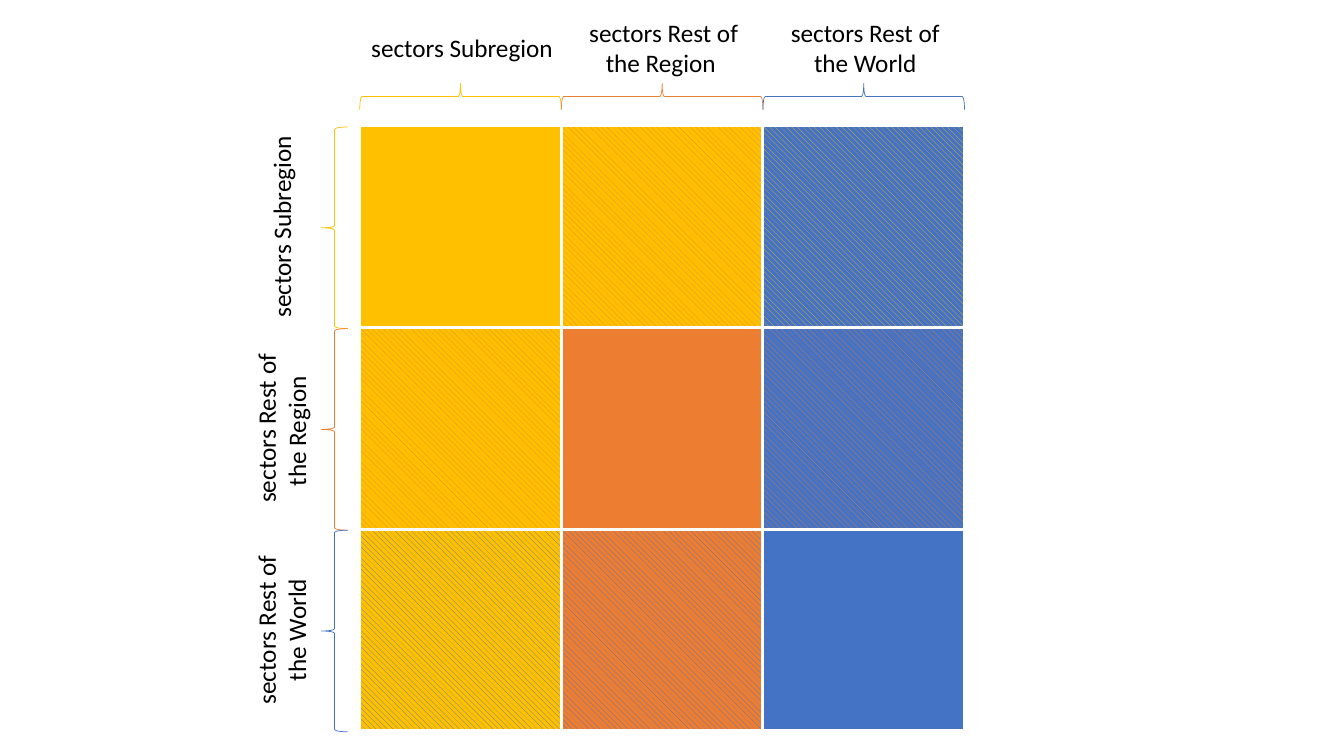
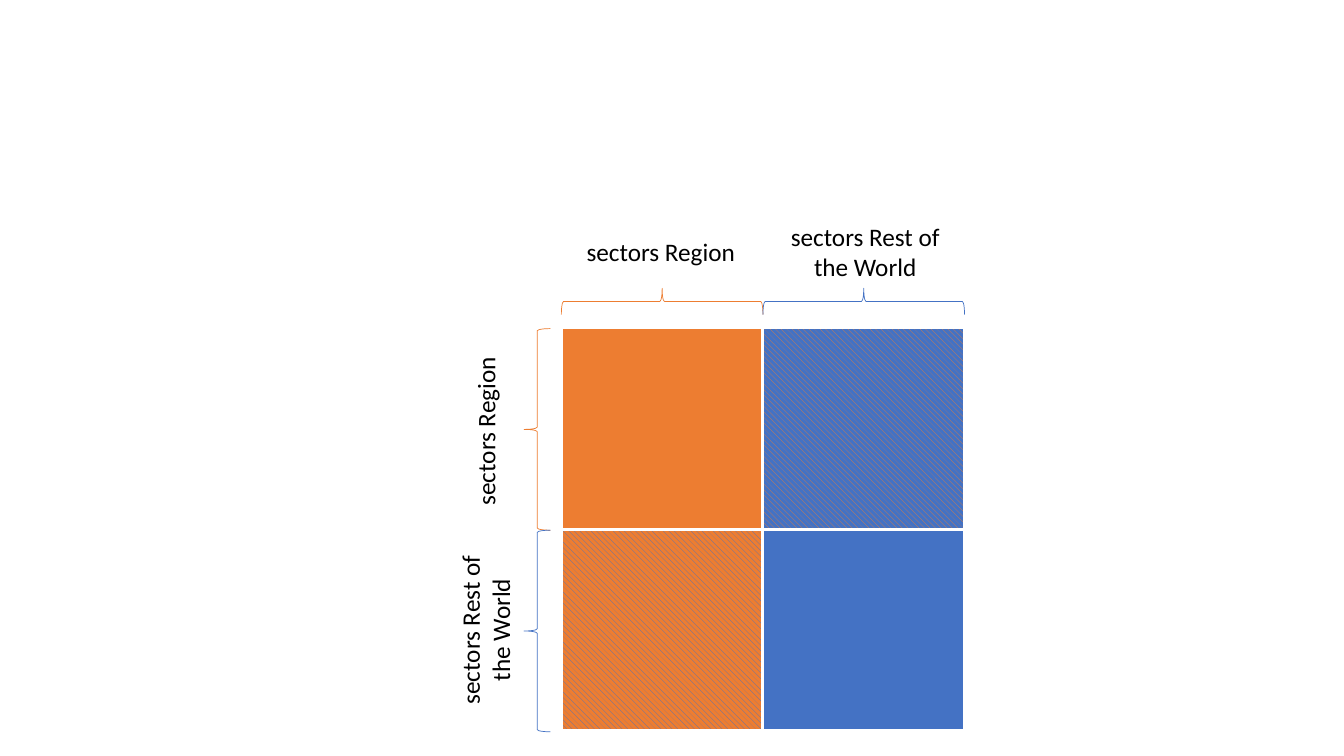
from pptx import Presentation
from pptx.dml.color import RGBColor
from pptx.enum.dml import MSO_PATTERN
from pptx.enum.shapes import MSO_SHAPE
from pptx.enum.text import MSO_ANCHOR, MSO_AUTO_SIZE, PP_ALIGN
from pptx.util import Pt

# Shared style
COLORS = {"yellow": "FFC000", "orange": "ED7D31", "blue": "4472C4",
          "white": "FFFFFF", "black": "000000"}
FONT = "Calibri"

# Shared geometry, in points
CELL = 144
BRACE_DEPTH = 18.7
LABEL_WIDTH = 147.6
LINE_HEIGHT, LABEL_PADDING = 22, 7

# Sectors: label, number of lines, colour
SUBREGION = ("sectors Subregion", 1, "yellow")
REST_OF_REGION = ("sectors Rest of the Region ", 2, "orange")
REGION = ("sectors Region ", 1, "orange")
REST_OF_WORLD = ("sectors Rest of the World", 2, "blue")


def color(name):
    return RGBColor.from_string(COLORS[name])


def centered(cx, cy, width, height):
    return Pt(cx - width / 2), Pt(cy - height / 2), Pt(width), Pt(height)


def add_text(s, text, cx, cy, *, lines=1, rotation=0, size=18, ink="black"):
    height = lines * LINE_HEIGHT + LABEL_PADDING
    sp = s.shapes.add_textbox(*centered(cx, cy, LABEL_WIDTH, height))
    sp.rotation = rotation
    tf = sp.text_frame
    tf.word_wrap = True
    tf.auto_size = MSO_AUTO_SIZE.SHAPE_TO_FIT_TEXT
    tf.vertical_anchor = MSO_ANCHOR.TOP
    p = tf.paragraphs[0]
    p.alignment = PP_ALIGN.CENTER
    r = p.add_run()
    r.text = text
    r.font.name = FONT
    r.font.size = Pt(size)
    r.font.color.rgb = color(ink)


def add_outlined(s, kind, box, line, width):
    sp = s.shapes.add_shape(kind, *box)
    sp.shadow.inherit = False
    sp.line.color.rgb = color(line)
    sp.line.width = Pt(width)
    return sp


def add_brace(s, cx, cy, line, rotation):
    box = centered(cx, cy, BRACE_DEPTH, CELL)
    sp = add_outlined(s, MSO_SHAPE.RIGHT_BRACE, box, line, 0.5)
    sp.fill.background()
    sp.rotation = rotation


def add_cell(s, cx, cy, base, stripe):
    box = centered(cx, cy, CELL, CELL)
    fill = add_outlined(s, MSO_SHAPE.RECTANGLE, box, "white", 2).fill
    if base == stripe:
        fill.solid()
        fill.fore_color.rgb = color(base)
    else:
        fill.patterned()
        fill.pattern = MSO_PATTERN.WIDE_DOWNWARD_DIAGONAL
        fill.fore_color.rgb = color(stripe)
        fill.back_color.rgb = color(base)


def cell_colors(row, column):
    """Column colour with stripes in the row colour; yellow stays under orange."""
    if (row, column) == ("yellow", "orange"):
        return row, column
    return column, row


def add_matrix(prs, sectors, left, top, *, label_gap, top_brace_gap, left_brace_gap):
    s = prs.slides.add_slide(prs.slide_layouts[6])
    centers = [(i + 0.5) * CELL for i in range(len(sectors))]

    # Cells
    for y, (_, _, row) in zip(centers, sectors):
        for x, (_, _, column) in zip(centers, sectors):
            add_cell(s, left + x, top + y, *cell_colors(row, column))

    # Braces and labels along both sides
    for c, (text, lines, name) in zip(centers, sectors):
        add_brace(s, left + c, top - top_brace_gap, name, 270)
        add_brace(s, left - left_brace_gap, top + c + 0.7, name, 180)
        add_text(s, text, left + c + 1, top - label_gap, lines=lines)
        add_text(s, text, left - label_gap, top + c, lines=lines, rotation=270)


def main():
    prs = Presentation()
    prs.slide_width, prs.slide_height = Pt(960), Pt(540)
    add_matrix(prs, [SUBREGION, REST_OF_REGION, REST_OF_WORLD], 257, 90,
               label_gap=56, top_brace_gap=21, left_brace_gap=18)
    add_matrix(prs, [REGION, REST_OF_WORLD], 401, 234,
               label_gap=54.2, top_brace_gap=18.7, left_brace_gap=17.3)
    prs.save("out.pptx")


main()
